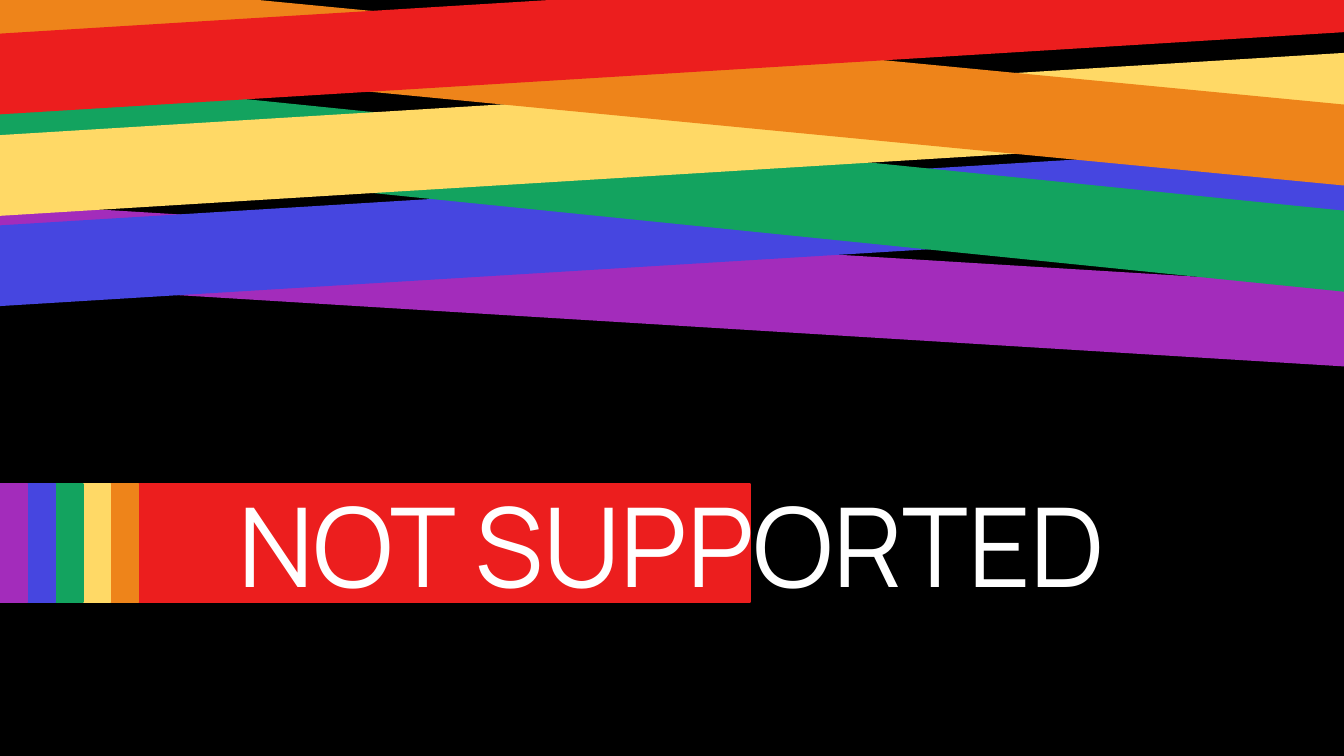
from pptx import Presentation
from pptx.dml.color import RGBColor
from pptx.enum.shapes import MSO_SHAPE
from pptx.enum.text import MSO_ANCHOR, PP_ALIGN
from pptx.util import Inches, Pt

RECTANGLE = MSO_SHAPE.RECTANGLE
MIDDLE = MSO_ANCHOR.MIDDLE
CENTER = PP_ALIGN.CENTER

BLACK = RGBColor(0x00, 0x00, 0x00)
WHITE = RGBColor(0xFF, 0xFF, 0xFF)
PURPLE = RGBColor(0xA3, 0x2C, 0xBB)
BLUE = RGBColor(0x46, 0x46, 0xE0)
GREEN = RGBColor(0x13, 0xA3, 0x5F)
YELLOW = RGBColor(0xFF, 0xD9, 0x66)
ORANGE = RGBColor(0xEE, 0x84, 0x1A)
RED = RGBColor(0xEC, 0x1E, 0x1E)

FONT = "Manrope"
RIBBON_WIDTH = 0.6

# Ribbons from back to front: colour, left, top, length, rotation
RIBBONS = [
    (PURPLE, 4.77, -3.02, 10.29, 93.5),
    (BLUE, 4.81, -3.52, 10.37, 86.5),
    (GREEN, 4.78, -3.79, 10.32, 95.8),
    (YELLOW, 4.79, -4.18, 10.35, 86.5),
    (ORANGE, 4.77, -4.55, 10.31, 95.5),
    (RED, 4.79, -4.93, 10.34, 86.5),
]
STRIPES = [PURPLE, BLUE, GREEN, YELLOW, ORANGE]


def add_bar(slide, left, top, width, height, color, rotation=0, outlined=False):
    bar = slide.shapes.add_shape(
        RECTANGLE, Inches(left), Inches(top), Inches(width), Inches(height))
    bar.shadow.inherit = False
    bar.rotation = rotation
    bar.fill.solid()
    bar.fill.fore_color.rgb = color
    if outlined:
        bar.line.color.rgb = color
        bar.line.width = Pt(0.75)
    else:
        bar.line.fill.background()


def add_text(slide, text, left, top, width, height, *, size, color,
             align=CENTER, anchor=MIDDLE, inset=0.1):
    box = slide.shapes.add_textbox(
        Inches(left), Inches(top), Inches(width), Inches(height))
    frame = box.text_frame
    frame.word_wrap = True
    frame.vertical_anchor = anchor
    frame.margin_left = frame.margin_right = Inches(inset)
    frame.margin_top = frame.margin_bottom = Inches(inset)
    paragraph = frame.paragraphs[0]
    paragraph.alignment = align
    run = paragraph.add_run()
    run.text = text
    run.font.name = FONT
    run.font.size = Pt(size)
    run.font.color.rgb = color


def add_ribbons(slide, left, top):
    """Crossing ribbons that run off both sides of the slide."""
    for color, x, y, length, rotation in RIBBONS:
        add_bar(slide, left + x, top + y, RIBBON_WIDTH, length, color, rotation)


def add_banner(slide, left, top, width, height):
    """Red band with narrow colour stripes at its left end."""
    pitch = 0.206
    red_left = 0.88
    add_bar(slide, left + red_left, top, width - red_left, height, RED,
            outlined=True)
    for index, color in reversed(list(enumerate(STRIPES))):
        add_bar(slide, left + index * pitch, top, pitch, height, color,
                outlined=True)


def main():
    prs = Presentation()
    prs.slide_width = Inches(10)
    prs.slide_height = Inches(5.625)
    slide = prs.slides.add_slide(prs.slide_layouts[6])
    slide.background.fill.solid()
    slide.background.fill.fore_color.rgb = BLACK

    add_ribbons(slide, 0, 0)
    add_banner(slide, 0, 3.6, 5.58, 0.88)
    # Title
    add_text(slide, "NOT SUPPORTED", 0.83, 3.27, 8.34, 1.54,
             size=59, color=WHITE)

    prs.save("out.pptx")


if __name__ == "__main__":
    main()
